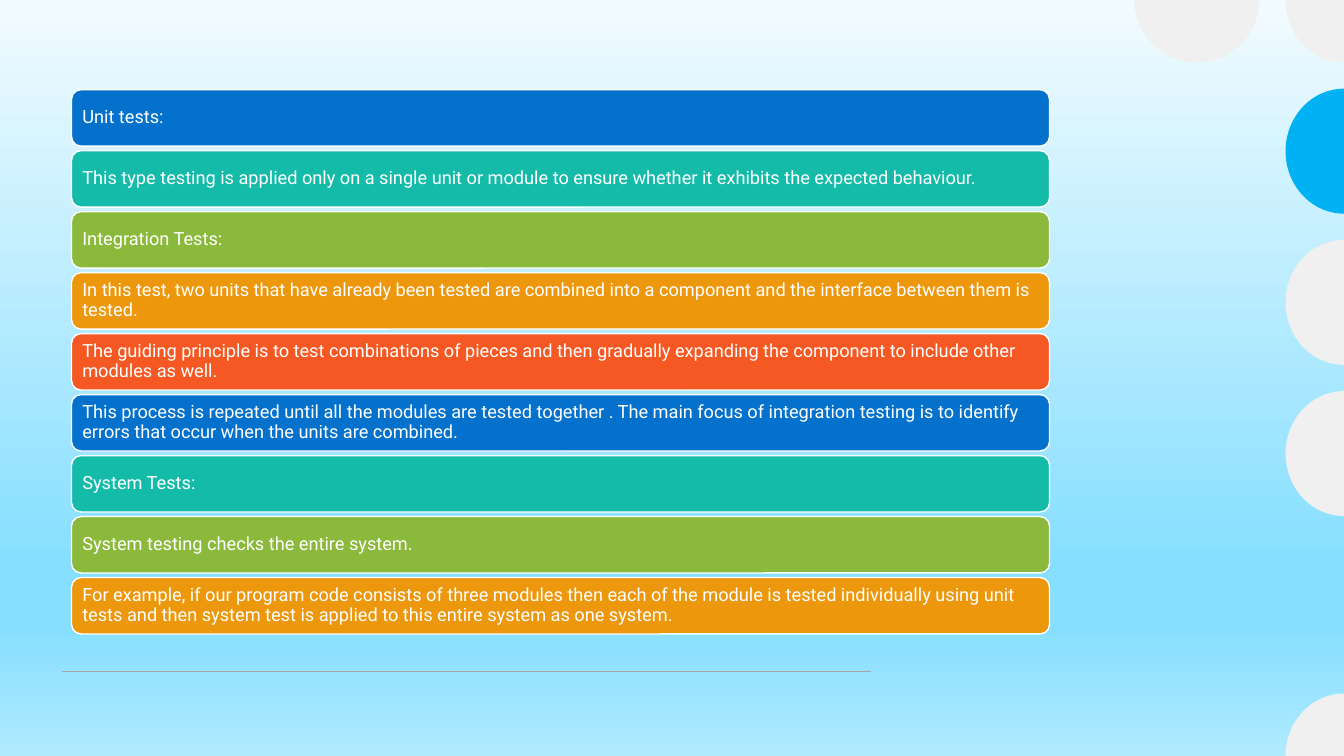
"""Build a slide that lists unit, integration and system tests as coloured bars."""
from dataclasses import dataclass
from itertools import cycle

from lxml.etree import SubElement
from pptx import Presentation
from pptx.dml.color import RGBColor
from pptx.enum.shapes import MSO_CONNECTOR, MSO_SHAPE
from pptx.enum.text import MSO_ANCHOR, PP_ALIGN
from pptx.oxml.ns import qn
from pptx.util import Inches, Pt

STATEMENTS = [
    "Unit tests:",
    "This type testing is applied only on a single unit or module to ensure whether it exhibits "
    "the expected behaviour.",
    "Integration Tests:",
    "In this test, two units that have already been tested are combined into a component and the "
    "interface between them is tested.",
    "The guiding principle is to test combinations of pieces and then gradually expanding the "
    "component to include other modules as well.",
    "This process is repeated until all the modules are tested together . The main focus of "
    "integration testing is to identify errors that occur when the units are combined.",
    "System Tests:",
    "System testing checks the entire system.",
    "For example, if our program code consists of three modules then each of the module is tested "
    "individually using unit tests and then system test is applied to this entire system as one "
    "system.",
]


@dataclass(frozen=True)
class Theme:
    """Colours and type of the slide."""
    bars: tuple = ("0471CC", "14BBA9", "8BB93B", "EC970C", "F55822")
    background: tuple = ((0, "F2FBFF"), (74, "87DFFF"), (83, "87DFFF"), (100, "AFEAFF"))
    circle: str = "EFF0EF"
    accent: str = "00B2F3"
    rule: str = "A6A6A6"
    text: str = "FFFFFF"
    font: str = "Roboto"
    size: int = 13
    line_width: int = 1


THEME = Theme()
WIDTH, HEIGHT = 13.33, 7.5
BAR_LEFT, BAR_WIDTH, BAR_HEIGHT = 0.71, 9.7, 0.56
BARS_TOP, BARS_BOTTOM = 0.89, 6.29
BAR_INSET = 0.08
RULE_LEFT, RULE_RIGHT, RULE_TOP = 0.62, 8.64, 6.66
GRID_LEFT, GRID_STEP, RADIUS = 11.87, HEIGHT / 5, 0.62
CIRCLES = [
    (0, 0, THEME.circle),
    (1, 0, THEME.circle),
    (1, 1, THEME.accent),
    (1, 2, THEME.circle),
    (1, 3, THEME.circle),
    (1, 5, THEME.circle),
]


def paint_background(slide):
    fill = slide.background.fill
    fill.gradient()
    fill.gradient_angle = 270
    stops = next(slide.element.iter(qn("a:gsLst")))
    for stop in list(stops):
        stops.remove(stop)
    for share, colour in THEME.background:
        stop = SubElement(stops, qn("a:gs"), pos=str(share * 1000))
        SubElement(stop, qn("a:srgbClr"), val=colour)


def paint(shape, fill):
    shape.shadow.inherit = False
    shape.fill.solid()
    shape.fill.fore_color.rgb = RGBColor.from_string(fill)


def add_rule(slide):
    rule = slide.shapes.add_connector(
        MSO_CONNECTOR.STRAIGHT,
        Inches(RULE_LEFT), Inches(RULE_TOP), Inches(RULE_RIGHT), Inches(RULE_TOP))
    rule.line.color.rgb = RGBColor.from_string(THEME.rule)
    rule.line.width = Pt(THEME.line_width)
    SubElement(rule.element.spPr, qn("a:effectLst"))


def add_clipped_circle(slide, column, row, colour):
    center_x, center_y = GRID_LEFT + column * GRID_STEP, row * GRID_STEP
    left, right = Inches(center_x - RADIUS), Inches(min(center_x + RADIUS, WIDTH))
    top = Inches(max(center_y - RADIUS, 0))
    bottom = Inches(min(center_y + RADIUS, HEIGHT))
    cut_top, cut_right = center_y < RADIUS, center_x + RADIUS > WIDTH
    cut_bottom = center_y + RADIUS > HEIGHT
    start = (left, top) if cut_top else (right, top)
    corner = (right, bottom) if cut_bottom else (right, top)
    builder = slide.shapes.build_freeform(*start, scale=1.0)
    builder.add_line_segments([(left, bottom), (right, bottom), corner], close=True)
    circle = builder.convert_to_shape()

    outline = next(circle.element.iter(qn("a:path")))
    first_line, second_line = outline.findall(qn("a:lnTo"))[:2]
    outline.remove(second_line)
    radius_x = right - left if cut_right else Inches(RADIUS)
    quarter = cut_right and (cut_top or cut_bottom)
    arc = SubElement(
        outline, qn("a:arcTo"), wR=str(radius_x), hR=str(Inches(RADIUS)),
        stAng=str((180 if cut_top else 270) * 60000),
        swAng=str((-90 if quarter else -180) * 60000))
    outline.replace(first_line, arc)
    paint(circle, colour)
    circle.line.fill.background()


def add_bar(slide, top, text, colour):
    bar = slide.shapes.add_shape(
        MSO_SHAPE.ROUNDED_RECTANGLE,
        Inches(BAR_LEFT), Inches(top), Inches(BAR_WIDTH), Inches(BAR_HEIGHT))
    paint(bar, colour)
    bar.line.color.rgb = RGBColor.from_string(THEME.text)
    bar.line.width = Pt(THEME.line_width)
    frame = bar.text_frame
    frame.text = text
    frame.word_wrap = True
    frame.vertical_anchor = MSO_ANCHOR.MIDDLE
    frame.margin_left = frame.margin_right = Inches(BAR_INSET)
    frame.margin_top = frame.margin_bottom = 0
    paragraph = frame.paragraphs[0]
    paragraph.alignment = PP_ALIGN.LEFT
    paragraph.line_spacing = 0.9
    font = paragraph.runs[0].font
    font.name, font.size = THEME.font, Pt(THEME.size)
    font.color.rgb = RGBColor.from_string(THEME.text)


def main():
    presentation = Presentation()
    presentation.slide_width, presentation.slide_height = Inches(WIDTH), Inches(HEIGHT)
    slide = presentation.slides.add_slide(presentation.slide_layouts[6])
    paint_background(slide)
    add_rule(slide)
    for column, row, colour in CIRCLES:
        add_clipped_circle(slide, column, row, colour)
    pitch = (BARS_BOTTOM - BARS_TOP - BAR_HEIGHT) / (len(STATEMENTS) - 1)
    for index, (text, colour) in enumerate(zip(STATEMENTS, cycle(THEME.bars))):
        add_bar(slide, BARS_TOP + index * pitch, text, colour)
    presentation.save("out.pptx")


if __name__ == "__main__":
    main()
